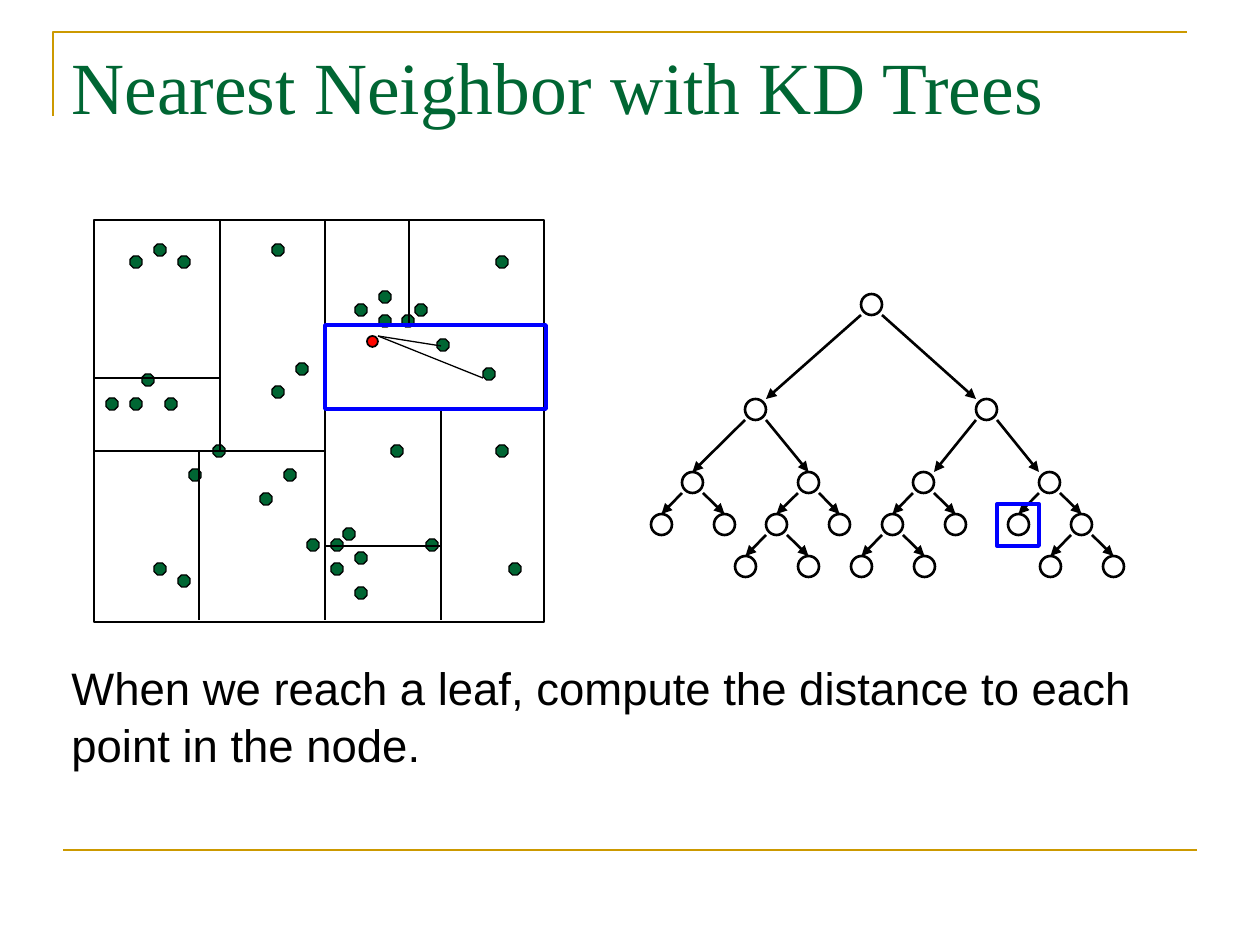
"""Build a slide on nearest neighbor search with KD trees."""
from dataclasses import dataclass

from lxml import etree
from pptx import Presentation
from pptx import util as u
from pptx.dml.color import RGBColor
from pptx.enum import shapes, text
from pptx.oxml.ns import qn

PX = 914400 / 126
GREEN = RGBColor(0x00, 0x66, 0x33)
GOLD = RGBColor(0xCC, 0x99, 0x00)
RED = RGBColor(0xFF, 0x06, 0x00)
BLUE = RGBColor(0x00, 0x00, 0xFF)
BLACK = RGBColor(0x00, 0x00, 0x00)

RECT = shapes.MSO_SHAPE.RECTANGLE
OVAL = shapes.MSO_SHAPE.OVAL
OCTAGON = shapes.MSO_SHAPE.OCTAGON
DOT = 12
RING = 21
HALF = RING / 2
ROWS = (294, 399, 472, 514, 556)


@dataclass(frozen=True)
class Wall:
    x1: int
    y1: int
    x2: int
    y2: int


@dataclass(frozen=True)
class Node:
    x: int
    kids: tuple = ()
    inset: float = 0


DOTS = (
    (142, 374), (165, 398), (130, 398), (355, 304), (106, 398), (343, 528),
    (331, 539), (437, 339), (379, 315), (307, 539), (331, 563), (355, 587),
    (355, 552), (496, 445), (272, 386), (284, 469), (391, 445), (178, 575),
    (189, 469), (379, 291), (402, 315), (415, 304), (426, 539), (154, 563),
    (213, 445), (296, 363), (260, 493), (178, 256), (154, 244), (130, 256),
    (272, 244), (496, 256), (509, 563), (483, 368),
)
WALLS = (
    Wall(325, 220, 325, 620), Wall(325, 409, 546, 409),
    Wall(441, 409, 441, 620), Wall(325, 546, 441, 546),
    Wall(94, 451, 325, 451), Wall(220, 451, 220, 220),
    Wall(325, 325, 546, 325), Wall(409, 220, 409, 325),
    Wall(199, 451, 199, 620), Wall(94, 378, 220, 378),
)
RAYS = (Wall(378, 336, 441, 346), Wall(378, 336, 483, 378))


def emu(px: float) -> u.Emu:
    """Turn pixels into EMU."""
    return u.Emu(round(px * PX))


def fork(x: int, *kids: Node, inset: float = 0) -> Node:
    """Make a node with two close children, leaves unless given."""
    return Node(x, kids or (Node(x - 31), Node(x + 32)), inset)


def style(item, color: RGBColor, width: float) -> None:
    """Set the line of a shape or connector."""
    item.line.color.rgb = color
    item.line.width = u.Pt(width)


def draw(slide, kind, x, y, w, h, color=BLACK, width=1.0, fill=None):
    """Draw a preset shape."""
    item = slide.shapes.add_shape(kind, emu(x), emu(y), emu(w), emu(h))
    item.shadow.inherit = False
    if fill is None:
        item.fill.background()
    else:
        item.fill.solid()
        item.fill.fore_color.rgb = fill
    style(item, color, width)
    return item


def join(slide, wall: Wall, color=BLACK, width=1.0, arrow=False) -> None:
    """Draw a straight line, with an arrowhead if asked."""
    ends = map(emu, (wall.x1, wall.y1, wall.x2, wall.y2))
    item = slide.shapes.add_connector(shapes.MSO_CONNECTOR.STRAIGHT, *ends)
    style(item, color, width)
    if arrow:
        etree.SubElement(item.line._get_or_add_ln(), qn("a:tailEnd"), type="triangle")
    etree.SubElement(item._element.spPr, qn("a:effectLst"))


def grow(slide, node: Node, depth: int = 0) -> None:
    """Draw a node and the subtree below it."""
    top = ROWS[depth]
    draw(slide, OVAL, node.x, top, RING, RING, width=1.5)
    for side, kid in zip((-1, 1), node.kids):
        start = node.x + HALF + side * HALF
        end = kid.x + HALF - side * kid.inset
        edge = Wall(start, top + RING, end, ROWS[depth + 1])
        join(slide, edge, width=1.5, arrow=True)
        grow(slide, kid, depth + 1)


def write(box, words: str, font: str, size: int, color: RGBColor, space: float) -> None:
    """Fill a text frame with one paragraph."""
    frame = box.text_frame
    frame.word_wrap = True
    frame.auto_size = text.MSO_AUTO_SIZE.NONE
    frame.vertical_anchor = text.MSO_ANCHOR.TOP
    frame.text = words
    para = frame.paragraphs[0]
    para.alignment = text.PP_ALIGN.LEFT
    para.line_spacing = space
    para.font.name = font
    para.font.size = u.Pt(size)
    para.font.color.rgb = color


def main() -> None:
    """Build and save the slide."""
    deck = Presentation()
    deck.slide_width, deck.slide_height = emu(1260), emu(945)
    slide = deck.slides.add_slide(deck.slide_layouts[5])

    path = slide.shapes.build_freeform(53, 116, scale=PX)
    path.add_line_segments([(53, 32), (1187, 32)], close=False)
    trim = path.convert_to_shape()
    trim.shadow.inherit = False
    trim.fill.background()
    style(trim, GOLD, 1.5)
    join(slide, Wall(63, 850, 1197, 850), GOLD, 1.5)

    title = slide.shapes.title
    title.left, title.top, title.width, title.height = map(emu, (59, 35, 1169, 158))
    write(title, "Nearest Neighbor with KD Trees", "Times New Roman", 42, GREEN, 1.0)

    for x, y in DOTS:
        draw(slide, OCTAGON, x, y, DOT, DOT, width=0.75, fill=GREEN)
    draw(slide, RECT, 94, 220, 450, 402)
    for wall in WALLS:
        join(slide, wall)

    left = Node(745, (fork(682), fork(798, fork(766), Node(829))), HALF)
    right = Node(976, (
        fork(913, fork(882), Node(945), inset=HALF),
        fork(1039, Node(1008), fork(1071), inset=HALF),
    ), HALF)
    grow(slide, Node(861, (left, right)))

    draw(slide, OVAL, 367, 336, 11, 11, fill=RED)
    draw(slide, RECT, 325, 325, 221, 84, BLUE, 2.25)
    draw(slide, RECT, 997, 504, 42, 42, BLUE, 2.25)
    for ray in RAYS:
        join(slide, ray, width=0.75)

    note = slide.shapes.add_textbox(*map(emu, (59, 651, 1169, 122)))
    words = "When we reach a leaf, compute the distance to each point in the node."
    write(note, words, "Arial", 26, BLACK, 1.05)
    deck.save("out.pptx")


if __name__ == "__main__":
    main()
